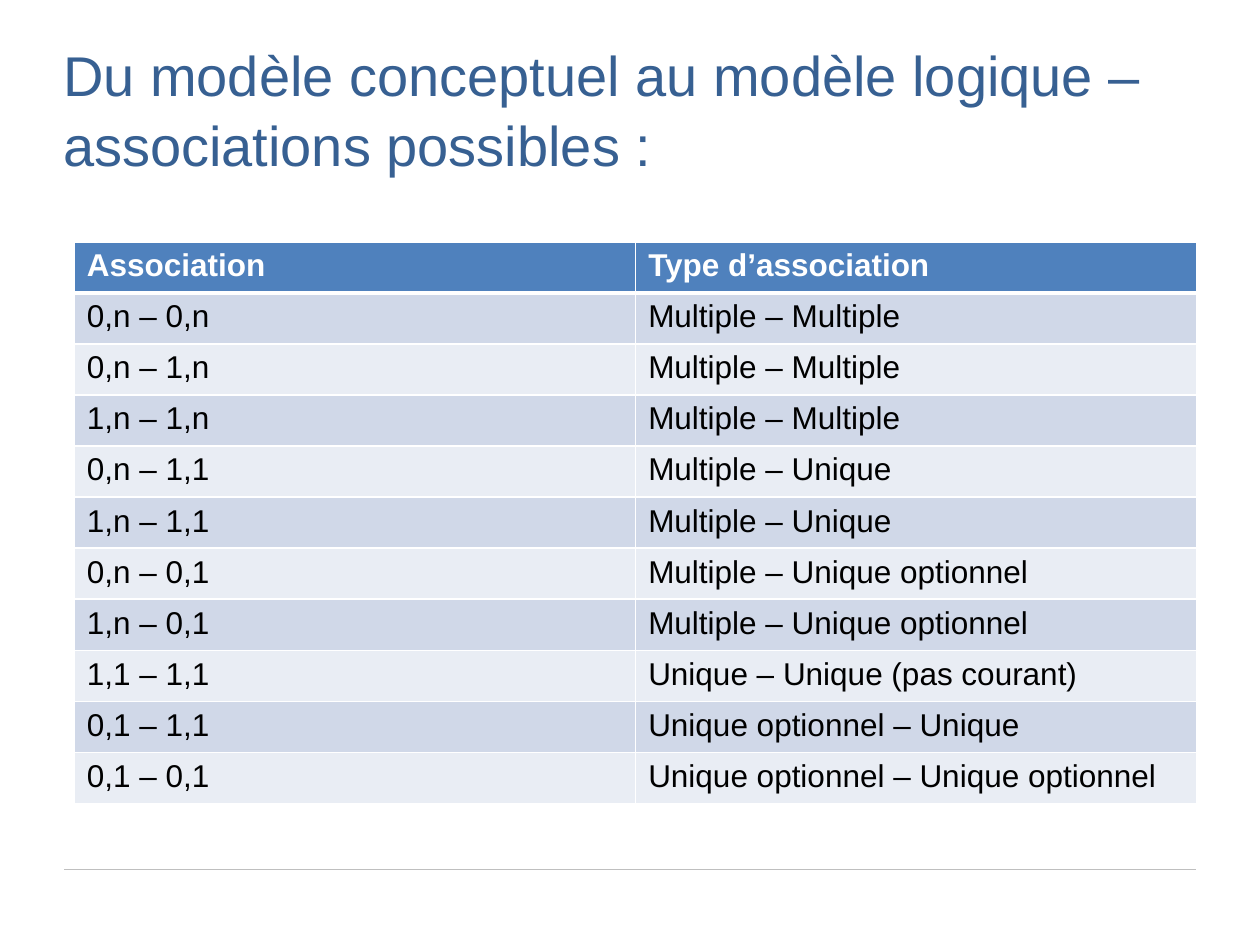
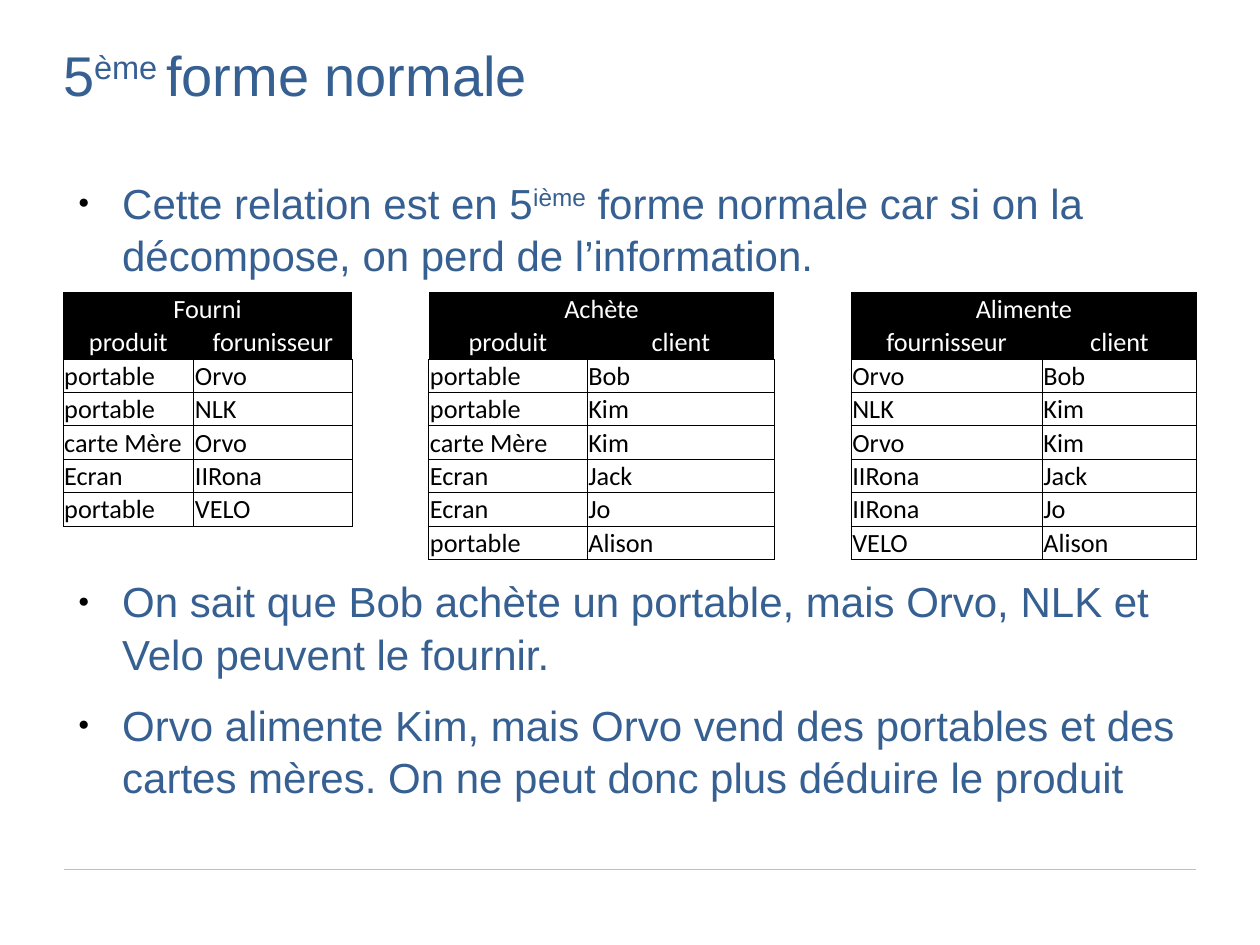
from lxml.etree import SubElement
from pptx import Presentation
from pptx.dml.color import RGBColor
from pptx.enum.shapes import MSO_CONNECTOR
from pptx.enum.text import MSO_ANCHOR, PP_ALIGN
from pptx.oxml.ns import qn
from pptx.util import Inches, Pt

COLORS = {
    "text": "376092", "rule": "BFBFBF", "header": "4F81BD", "band": "D0D8E8",
    "light": "E9EDF4", "white": "FFFFFF", "black": "000000",
}
GRID = 0.5  # inches per grid unit: 20 columns by 15 rows
PLAIN_STYLE = "{2D5ABB26-0587-4C30-8999-92F81FD0307C}"
LINE_SPACING = 1.04

ASSOCIATIONS = [
    ("Association", "Type d’association"),
    ("0,n – 0,n", "Multiple – Multiple"),
    ("0,n – 1,n", "Multiple – Multiple"),
    ("1,n – 1,n", "Multiple – Multiple"),
    ("0,n – 1,1", "Multiple – Unique"),
    ("1,n – 1,1", "Multiple – Unique"),
    ("0,n – 0,1", "Multiple – Unique optionnel"),
    ("1,n – 0,1", "Multiple – Unique optionnel"),
    ("1,1 – 1,1", "Unique – Unique (pas courant)"),
    ("0,1 – 1,1", "Unique optionnel – Unique"),
    ("0,1 – 0,1", "Unique optionnel – Unique optionnel"),
]
RELATIONS = [
    ("Fourni", [("produit", "forunisseur"), ("portable", "Orvo"), ("portable", "NLK"),
                ("carte Mère", "Orvo"), ("Ecran", "IIRona"), ("portable", "VELO")]),
    ("Achète", [("produit", "client"), ("portable", "Bob"), ("portable", "Kim"),
                ("carte Mère", "Kim"), ("Ecran", "Jack"), ("Ecran", "Jo"),
                ("portable", "Alison")]),
    ("Alimente", [("fournisseur", "client"), ("Orvo", "Bob"), ("NLK", "Kim"),
                  ("Orvo", "Kim"), ("IIRona", "Jack"), ("IIRona", "Jo"),
                  ("VELO", "Alison")]),
]


def units(n):
    return Inches(n * GRID)


def rgb(name):
    return RGBColor.from_string(COLORS[name])


class Deck:
    def __init__(self):
        self.prs = Presentation()
        self.prs.slide_width, self.prs.slide_height = units(20), units(15)
        self.slide = None

    def new_slide(self, title):
        self.slide = self.prs.slides.add_slide(self.prs.slide_layouts[5])
        self.rule()
        sp = self.slide.shapes.title
        sp.left, sp.top, sp.width, sp.height = map(units, (1, 0.6, 18, 2.5))
        tf = self.bare_frame(sp)
        self.rich_text(tf.paragraphs[0], title, 32)

    def rule(self):
        line = self.slide.shapes.add_connector(
            MSO_CONNECTOR.STRAIGHT, *map(units, (1.02, 13.8, 18.98, 13.8)))
        line.line.color.rgb = rgb("rule")
        line.line.width = Pt(0.75)
        SubElement(line.element.spPr, qn("a:effectLst"))

    def bare_frame(self, sp):
        """Return the wrapped, top-anchored text frame with no insets."""
        tf = sp.text_frame
        tf.margin_left = tf.margin_top = tf.margin_right = tf.margin_bottom = 0
        tf.word_wrap = True
        tf.vertical_anchor = MSO_ANCHOR.TOP
        return tf

    def font(self, r, size, color, name="Arial", bold=False):
        r.font.size, r.font.name, r.font.bold = Pt(size), name, bold
        r.font.color.rgb = rgb(color)

    def rich_text(self, p, text, size):
        """Write text in which carets enclose superscripts."""
        p.alignment = PP_ALIGN.LEFT
        p.line_spacing = LINE_SPACING
        for i, part in enumerate(text.split("^")):
            r = p.add_run()
            r.text = part
            self.font(r, size, "text")
            if i % 2:
                r.font._element.set("baseline", "30000")

    def bullets(self, items, box):
        """Write (text, space after in points) items as a bulleted list."""
        sp = self.slide.shapes.add_textbox(*map(units, box))
        tf = self.bare_frame(sp)
        for i, (text, gap) in enumerate(items):
            p = tf.add_paragraph() if i else tf.paragraphs[0]
            self.rich_text(p, text, 24)
            p.space_after = Pt(gap)
            pPr = p._p.get_or_add_pPr()
            pPr.set("marL", str(Inches(0.47)))
            pPr.set("indent", str(Inches(-0.35)))
            color = SubElement(pPr, qn("a:buClr"))
            SubElement(color, qn("a:srgbClr"), val=COLORS["black"])
            SubElement(pPr, qn("a:buSzPct"), val="45000")
            SubElement(pPr, qn("a:buFont"), typeface="Arial")
            SubElement(pPr, qn("a:buChar"), char="●")

    def table(self, rows, weights, box):
        """Add an unstyled table whose columns share its width by weight."""
        left, top, width, height = map(units, box)
        tbl = self.slide.shapes.add_table(
            rows, len(weights), left, top, width, height).table
        tbl.first_row = tbl.horz_banding = False
        tbl._tbl.tblPr.find(qn("a:tableStyleId")).text = PLAIN_STYLE
        for col, weight in zip(tbl.columns, weights):
            col.width = int(width * weight / sum(weights))
        for row in tbl.rows:
            row.height = height // rows
        return tbl

    def borders(self, cell, color, widths):
        """Draw the sides named in widths (L, R, T, B), in points."""
        tcPr = cell._tc.get_or_add_tcPr()
        for side in "LRTB":
            if side in widths:
                ln = SubElement(tcPr, qn(f"a:ln{side}"), w=str(Pt(widths[side])))
                fill = SubElement(ln, qn("a:solidFill"))
                SubElement(fill, qn("a:srgbClr"), val=COLORS[color])

    def fill(self, cell, color=None):
        if color:
            cell.fill.solid()
            cell.fill.fore_color.rgb = rgb(color)
        else:
            cell.fill.background()

    def association_table(self, rows, box):
        tbl = self.table(len(rows), (1, 1), box)
        for i, row in enumerate(rows):
            head = i == 0
            widths = {"L": 1, "R": 1, "T": 3 if i == 1 else 1, "B": 3 if head else 1}
            color = "header" if head else "band" if i % 2 else "light"
            for j, text in enumerate(row):
                cell = tbl.cell(i, j)
                cell.text = text
                self.font(cell.text_frame.paragraphs[0].runs[0], 18,
                          "white" if head else "black", bold=head)
                self.borders(cell, "white", widths)
                self.fill(cell, color)

    def compact_cell(self, cell, text, head):
        cell.text = text
        p = cell.text_frame.paragraphs[0]
        p.alignment = PP_ALIGN.CENTER if head else PP_ALIGN.LEFT
        self.font(p.runs[0], 15, "white" if head else "black", "Calibri")
        if not head:
            self.borders(cell, "black", dict.fromkeys("LRTB", 0.5))
        self.fill(cell, "black" if head else None)

    def relation_tables(self, relations, weights, box):
        """Set the relations side by side in one table, with a gap column between."""
        count = 1 + max(len(rows) for _, rows in relations)
        tbl = self.table(count, weights, box)
        for cell in tbl.iter_cells():
            cell.margin_left = cell.margin_right = cell.margin_top = Inches(0.01)
            cell.margin_bottom = 0
            cell.vertical_anchor = MSO_ANCHOR.BOTTOM
        for k, (name, rows) in enumerate(relations):
            first = 3 * k
            tbl.cell(0, first).merge(tbl.cell(0, first + 1))
            self.compact_cell(tbl.cell(0, first), name, True)
            for i, row in enumerate(rows, 1):
                for j, text in enumerate(row, first):
                    self.compact_cell(tbl.cell(i, j), text, i == 1)
        for cell in tbl.iter_cells():
            if not cell.text:
                p = cell.text_frame.paragraphs[0]._p
                SubElement(p, qn("a:endParaRPr"), sz="1500")
                self.fill(cell, "black" if cell.is_spanned else None)


def main():
    deck = Deck()

    deck.new_slide("Du modèle conceptuel au modèle logique – associations possibles :")
    deck.association_table(ASSOCIATIONS, (1.18, 3.84, 17.82, 8.92))

    deck.new_slide("5^ème ^forme normale")
    deck.bullets([
        ("Cette relation est en 5^ième^ forme normale car si on la décompose, "
         "on perd de l’information.", 168),
        ("On sait que Bob achète un portable, mais Orvo, NLK et Velo peuvent "
         "le fournir.", 10.6),
        ("Orvo alimente Kim, mais Orvo vend des portables et des cartes mères. "
         "On ne peut donc plus déduire le produit", 10.6),
    ], (1, 2.78, 18, 10.62))
    deck.relation_tables(RELATIONS, (1.04, 1.26, 0.61, 1.26, 1.49, 0.61, 1.52, 1.23),
                         (1, 4.64, 18, 4.24))

    deck.prs.save("out.pptx")


if __name__ == "__main__":
    main()
